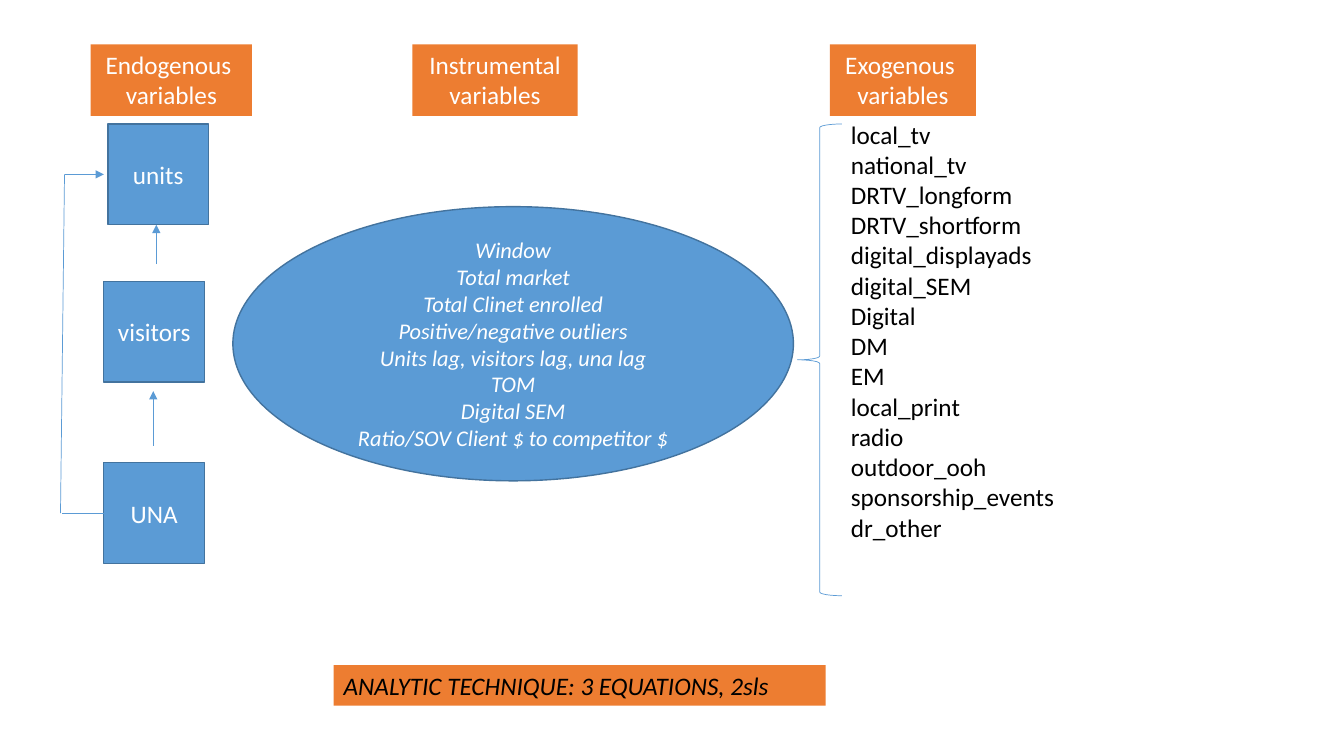
from dataclasses import dataclass
from typing import Optional

from lxml.etree import SubElement
from pptx import Presentation
from pptx.dml.color import RGBColor
from pptx.enum.shapes import MSO_CONNECTOR, MSO_SHAPE
from pptx.enum.text import MSO_ANCHOR, MSO_AUTO_SIZE, PP_ALIGN
from pptx.oxml.ns import qn
from pptx.util import Inches, Pt

BLUE = "5B9BD5"
DARK_BLUE = "43739E"
ORANGE = "ED7D31"
WHITE = "FFFFFF"
BLACK = "000000"

INSTRUMENTS = "\n".join([
    "Window",
    "Total market",
    "Total Clinet enrolled",
    "Positive/negative outliers",
    "Units lag, visitors lag, una lag",
    "TOM",
    "Digital SEM",
    "Ratio/SOV Client $ to competitor $",
])
EXOGENOUS_VARIABLES = "\n".join([
    "local_tv", "national_tv", "DRTV_longform", "DRTV_shortform",
    "digital_displayads", "digital_SEM", "Digital", "DM", "EM",
    "local_print", "radio", "outdoor_ooh", "sponsorship_events", "dr_other",
])


@dataclass
class Box:
    left: float
    top: float
    width: float
    height: float
    text: str = ""
    kind: MSO_SHAPE = MSO_SHAPE.RECTANGLE
    fill: Optional[str] = BLUE
    line: Optional[str] = DARK_BLUE
    line_width: float = 1
    font_color: str = WHITE
    size: int = 18
    italic: bool = False
    alignment: PP_ALIGN = PP_ALIGN.CENTER
    fits_text: bool = False


@dataclass
class Link:
    start: tuple[float, float]
    end: tuple[float, float]
    arrow: bool = False


def heading(left: float, width: float, text: str) -> Box:
    return Box(left, 0.44, width, 0.71, text, fill=ORANGE, line=None, fits_text=True)


BOXES = [
    Box(1.07, 1.23, 1, 1, "units"),
    Box(1.03, 2.79, 1, 1, "visitors"),
    Box(1.03, 4.59, 1, 1, "UNA"),
    Box(2.31, 2.05, 5.56, 2.72, INSTRUMENTS, MSO_SHAPE.OVAL, size=16, italic=True),
    Box(7.91, 1.23, 0.44, 4.68, kind=MSO_SHAPE.LEFT_BRACE, fill=None, line=BLUE, line_width=0.5),
    heading(0.9, 1.6, "Endogenous \nvariables"),
    heading(4.09, 1.64, "Instrumental\nvariables"),
    heading(8.23, 1.45, "Exogenous \nvariables"),
    Box(3.31, 6.6, 4.88, 0.4, "ANALYTIC TECHNIQUE: 3 EQUATIONS, 2sls", fill=ORANGE, line=None,
        font_color=BLACK, italic=True, alignment=PP_ALIGN.LEFT, fits_text=True),
]
VARIABLE_LIST = Box(8.34, 1.13, 2.45, 4.34, EXOGENOUS_VARIABLES, font_color=BLACK,
                    alignment=PP_ALIGN.LEFT, fits_text=True)
LINKS = [
    Link((1.52, 4.42), (1.52, 3.88), arrow=True),
    Link((1.55, 2.62), (1.55, 2.23), arrow=True),
    Link((1.03, 5.09), (0.62, 5.09)),
    Link((0.6, 5.09), (0.64, 1.73)),
    Link((0.64, 1.73), (1.03, 1.73), arrow=True),
]


def color(value: str) -> RGBColor:
    return RGBColor.from_string(value)


def write_text(shape, box: Box) -> None:
    text_frame = shape.text_frame
    text_frame.text = box.text
    text_frame.word_wrap = not box.fits_text
    text_frame.vertical_anchor = MSO_ANCHOR.TOP if box.fits_text else MSO_ANCHOR.MIDDLE
    if box.fits_text:
        text_frame.auto_size = MSO_AUTO_SIZE.SHAPE_TO_FIT_TEXT
    for paragraph in text_frame.paragraphs:
        paragraph.alignment = box.alignment
        for run in paragraph.runs:
            run.font.name = "Calibri"
            run.font.size = Pt(box.size)
            run.font.italic = box.italic
            run.font.color.rgb = color(box.font_color)


def draw_box(slide, box: Box) -> None:
    shape = slide.shapes.add_shape(
        box.kind, Inches(box.left), Inches(box.top), Inches(box.width), Inches(box.height))
    shape.shadow.inherit = False
    if box.fill:
        shape.fill.solid()
        shape.fill.fore_color.rgb = color(box.fill)
    else:
        shape.fill.background()
    if box.line:
        shape.line.color.rgb = color(box.line)
        shape.line.width = Pt(box.line_width)
    else:
        shape.line.fill.background()
    if box.text:
        write_text(shape, box)


def draw_list(slide, box: Box) -> None:
    shape = slide.shapes.add_textbox(
        Inches(box.left), Inches(box.top), Inches(box.width), Inches(box.height))
    write_text(shape, box)


def draw_link(slide, link: Link) -> None:
    points = [Inches(value) for value in (*link.start, *link.end)]
    connector = slide.shapes.add_connector(MSO_CONNECTOR.STRAIGHT, *points)
    connector.line.color.rgb = color(BLUE)
    connector.line.width = Pt(0.5)
    if link.arrow:
        SubElement(connector.line._get_or_add_ln(), qn("a:tailEnd"), type="triangle")
    SubElement(connector._element.spPr, qn("a:effectLst"))


def main() -> None:
    presentation = Presentation()
    presentation.slide_width = Inches(13.33)
    presentation.slide_height = Inches(7.5)
    slide = presentation.slides.add_slide(presentation.slide_layouts[6])
    for box in BOXES:
        draw_box(slide, box)
    draw_list(slide, VARIABLE_LIST)
    for link in LINKS:
        draw_link(slide, link)
    presentation.save("out.pptx")


if __name__ == "__main__":
    main()
